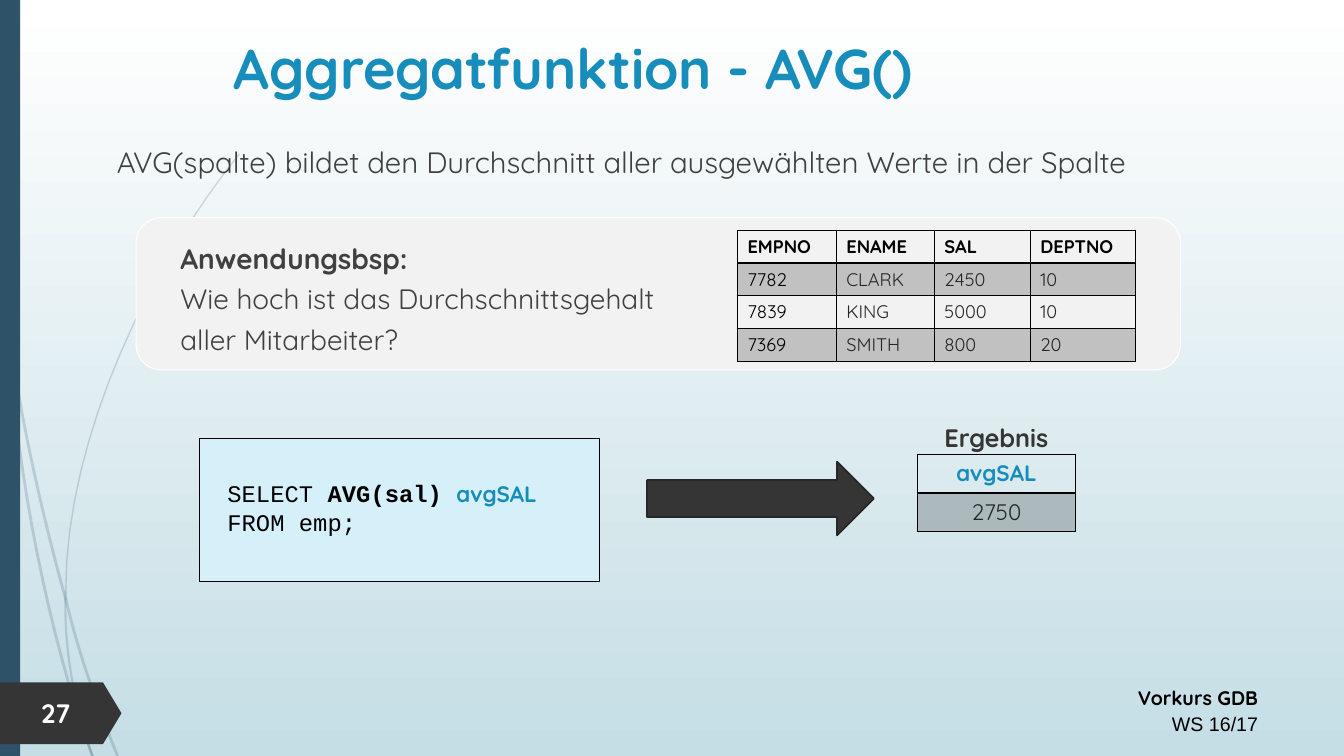
import pptx
import pptx.util
import pptx.dml.color
import pptx.oxml
import pptx.oxml.ns
from pptx.enum.shapes import MSO_SHAPE
from pptx.enum.text import MSO_ANCHOR, PP_ALIGN

Pt = pptx.util.Pt
qn = pptx.oxml.ns.qn

SANS, MONO = "Quicksand", "Courier New"
NAVY, BLUE, BLACK, INK, GREY = "2E5369", "178DBB", "000000", "262626", "404040"
CHARCOAL, WHITE = "353535", "FFFFFF"
LEFT, CENTER, RIGHT = PP_ALIGN.LEFT, PP_ALIGN.CENTER, PP_ALIGN.RIGHT
BREAK = None

TITLE = [[("Aggregatfunktion - AVG()", SANS, 40, BLUE, True)]]
DEFINITION = [[("AVG(spalte) bildet den Durchschnitt aller ausgewählten Werte in der Spalte", SANS, 21, GREY, False)]]
EXAMPLE = [[("Anwendungsbsp:", SANS, 20, GREY, True), BREAK,
            ("Wie hoch ist das Durchschnittsgehalt aller Mitarbeiter?", SANS, 20, GREY, False)]]
QUERY = [[("SELECT ", MONO, 17, BLACK, False), ("AVG(sal) ", MONO, 17, BLACK, True), ("avgSAL", SANS, 16, BLUE, True)],
         [("FROM emp;", MONO, 17, BLACK, False)]]
RESULT_LABEL = [[("Ergebnis", SANS, 18, CHARCOAL, True)]]
FOOTER = [[("Vorkurs GDB", SANS, 14, BLACK, True)], [("WS 16/17", "Arial", 14, BLACK, False)]]
PAGE = [[("27", SANS, 19, WHITE, True)]]

EMPLOYEES = [("EMPNO", "ENAME", "SAL", "DEPTNO"),
             ("7782", "CLARK", "2450", "10"),
             ("7839", "KING", "5000", "10"),
             ("7369", "SMITH", "800", "20")]
RESULT = [("avgSAL",), ("2750",)]

STRANDS = [
    (1, (171, 110), (110, 185), (47, 310), (47, 422)),
    (2, (8, 248), (16, 305), (32, 375), (47, 428)),
    (2, (47, 428), (56, 466), (69, 503), (84, 540)),
    (2, (6, 240), (12, 340), (35, 455), (66, 540)),
    (1.5, (47, 422), (45, 460), (53, 505), (66, 540)),
]


def rgb(hex_color):
    return pptx.dml.color.RGBColor.from_string(hex_color)


def paint(fill, color, opacity=100):
    fill.solid()
    fill.fore_color.rgb = rgb(color)
    if opacity < 100:
        color_node = fill._xPr.find(qn("a:solidFill"))[0]
        color_node.append(color_node.makeelement(qn("a:alpha"), {"val": str(opacity * 1000)}))


def write(frame, paragraphs, align=LEFT, spacing=None, before=None, anchor=MSO_ANCHOR.TOP):
    frame.word_wrap = True
    frame.vertical_anchor = anchor
    for index, runs in enumerate(paragraphs):
        paragraph = frame.paragraphs[0] if index == 0 else frame.add_paragraph()
        paragraph.alignment = align
        if spacing:
            paragraph.line_spacing = spacing
        if before:
            paragraph.space_before = Pt(before)
        for part in runs:
            if part is BREAK:
                paragraph.add_line_break()
                continue
            run = paragraph.add_run()
            run.text, run.font.name, size, color, run.font.bold = part
            run.font.size = Pt(size)
            run.font.color.rgb = rgb(color)


def add_text(box, paragraphs, **style):
    write(slide.shapes.add_textbox(*map(Pt, box)).text_frame, paragraphs, **style)


def add_block(kind, box, color, line=None, width=0.75):
    block = slide.shapes.add_shape(kind, *map(Pt, box))
    block.shadow.inherit = False
    paint(block.fill, color)
    if line:
        paint(block.line.fill, line)
        block.line.width = Pt(width)
    else:
        block.line.fill.background()
    return block


def curve_points(knots, steps=16):
    for step in range(steps + 1):
        t = step / steps
        weights = ((1 - t) ** 3, 3 * t * (1 - t) ** 2, 3 * t * t * (1 - t), t ** 3)
        yield tuple(Pt(sum(w * knot[axis] for w, knot in zip(weights, knots))) for axis in (0, 1))


def add_strand(width, *knots):
    start, *rest = curve_points(knots)
    outline = slide.shapes.build_freeform(*start)
    outline.add_line_segments(rest, close=False)
    strand = outline.convert_to_shape()
    strand.shadow.inherit = False
    strand.fill.background()
    strand.line.width = Pt(width)
    paint(strand.line.fill, NAVY, 20)


def add_border(cell, side, width):
    cell._tc.get_or_add_tcPr().append(pptx.oxml.parse_xml(
        f'<a:ln{side} {pptx.oxml.ns.nsdecls("a")} w="{Pt(width)}">'
        f'<a:solidFill><a:srgbClr val="{BLACK}"/></a:solidFill></a:ln{side}>'))


def add_grid(left, top, widths, row_height, rows, cell_style, align=LEFT):
    grid = slide.shapes.add_table(len(rows), len(widths), Pt(left), Pt(top),
                                  Pt(sum(widths)), Pt(row_height * len(rows))).table
    grid.first_row = grid.horz_banding = False
    for column, width in zip(grid.columns, widths):
        column.width = Pt(width)
    for r, values in enumerate(rows):
        grid.rows[r].height = Pt(row_height)
        for c, value in enumerate(values):
            cell = grid.cell(r, c)
            size, color = cell_style(r, c)
            write(cell.text_frame, [[(value, SANS, size, color, r == 0)]], align)
            for side in "LRTB":
                add_border(cell, side, 2 if (r, side) in ((0, "B"), (1, "T")) else 1)
            if r % 2:
                paint(cell.fill, BLACK, 20)
            else:
                cell.fill.background()


deck = pptx.Presentation()
deck.slide_width, deck.slide_height = Pt(960), Pt(540)
slide = deck.slides.add_slide(deck.slide_layouts[5])
backdrop = slide.background.fill
backdrop.gradient()
backdrop.gradient_angle = 270
for stop, color in zip(backdrop.gradient_stops, (WHITE, "C5DEE5")):
    stop.color.rgb = rgb(color)

for strand in STRANDS:
    add_strand(*strand)
add_block(MSO_SHAPE.RECTANGLE, (0, 0, 14.4, 540), NAVY)
add_text((531.4, 483.8, 374.4, 46), FOOTER, align=RIGHT, spacing=1.14)
page_tag = add_block(MSO_SHAPE.PENTAGON, (0, 487.5, 86.8, 44), CHARCOAL)
page_tag.adjustments[0] = 0.3
add_text((22.3, 494, 50.4, 30.2), PAGE)

title = slide.shapes.title
title.left, title.top, title.width, title.height = map(Pt, (86.4, 18.7, 645.8, 58.3))
write(title.text_frame, TITLE, CENTER, anchor=MSO_ANCHOR.MIDDLE)
add_text((76.3, 94.3, 819.4, 52.6), DEFINITION, spacing=1.2, before=10)

add_block(MSO_SHAPE.ROUNDED_RECTANGLE, (97.2, 155.5, 746, 108.7), "F2F2F2", WHITE)
add_grid(526.8, 164.5, (70.6, 70, 68.6, 75.4), 23.4, EMPLOYEES,
         lambda r, c: (13, BLACK if r == 0 or c == 0 else INK))
add_text((121.7, 164.2, 386, 106.6), EXAMPLE, spacing=1.2, before=10)

query_box = add_block(MSO_SHAPE.RECTANGLE, (142.4, 313, 286, 102.4), "D6F0FA", BLACK)
query_frame = query_box.text_frame
query_frame.margin_left, query_frame.margin_top = Pt(20), Pt(0)
write(query_frame, QUERY, anchor=MSO_ANCHOR.MIDDLE)
add_block(MSO_SHAPE.RIGHT_ARROW, (462.2, 329.8, 162, 52.6), CHARCOAL, "272727", 1.25)
add_grid(655.3, 324.7, (113,), 27.4, RESULT, lambda r, c: (16, INK if r else BLUE), CENTER)
add_text((662.4, 298, 98.6, 28.8), RESULT_LABEL, align=CENTER)

deck.save("out.pptx")
